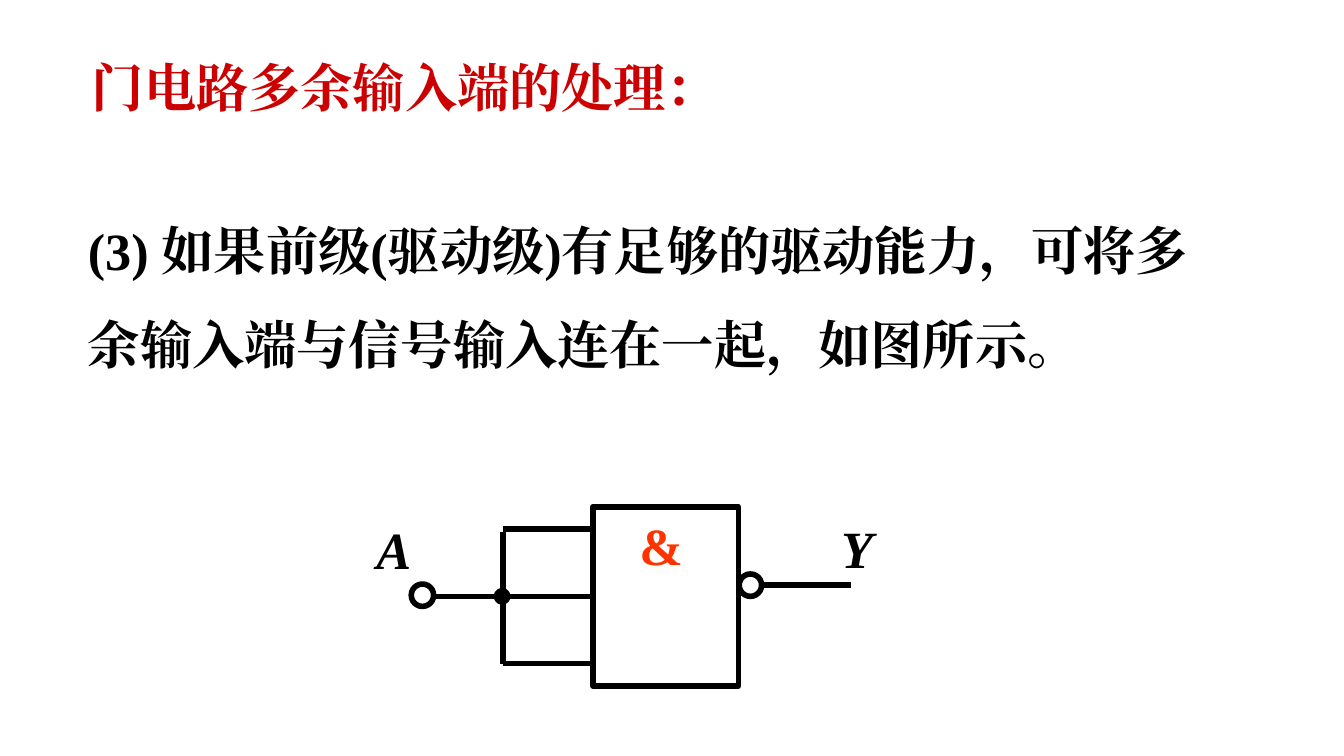
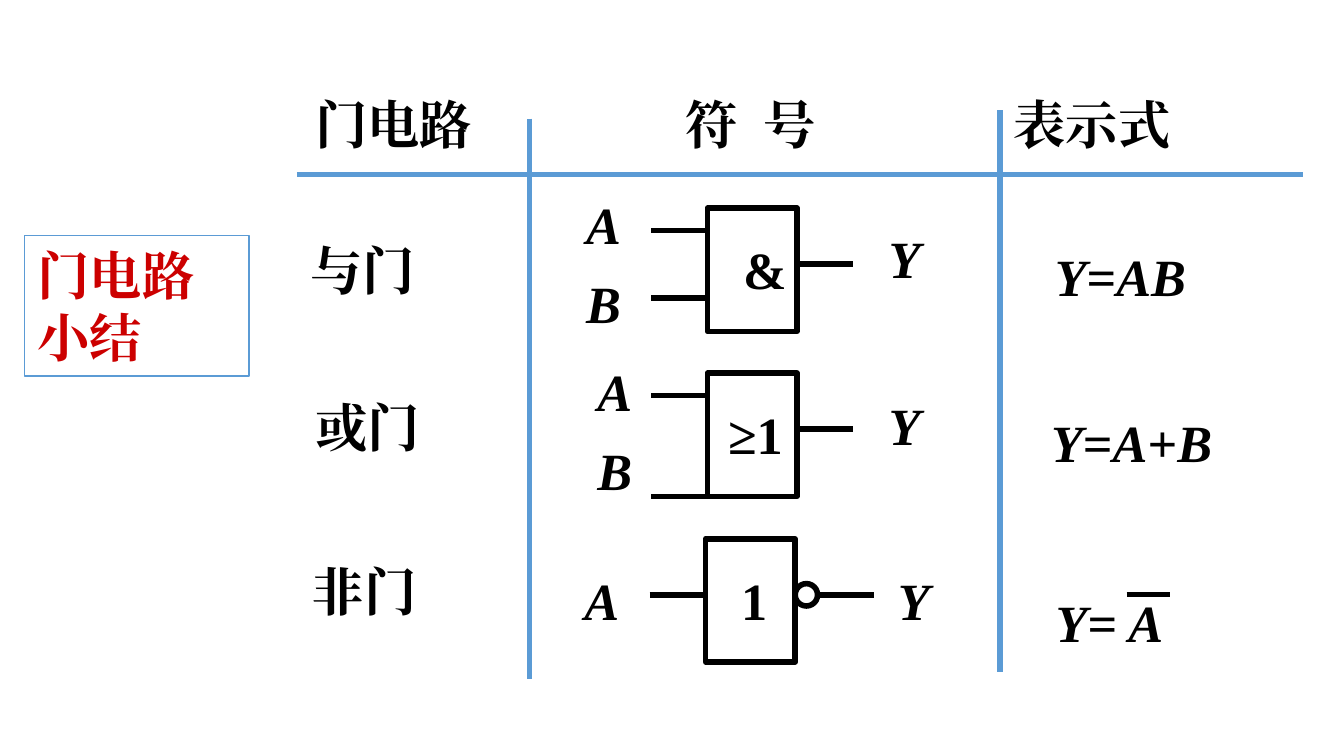
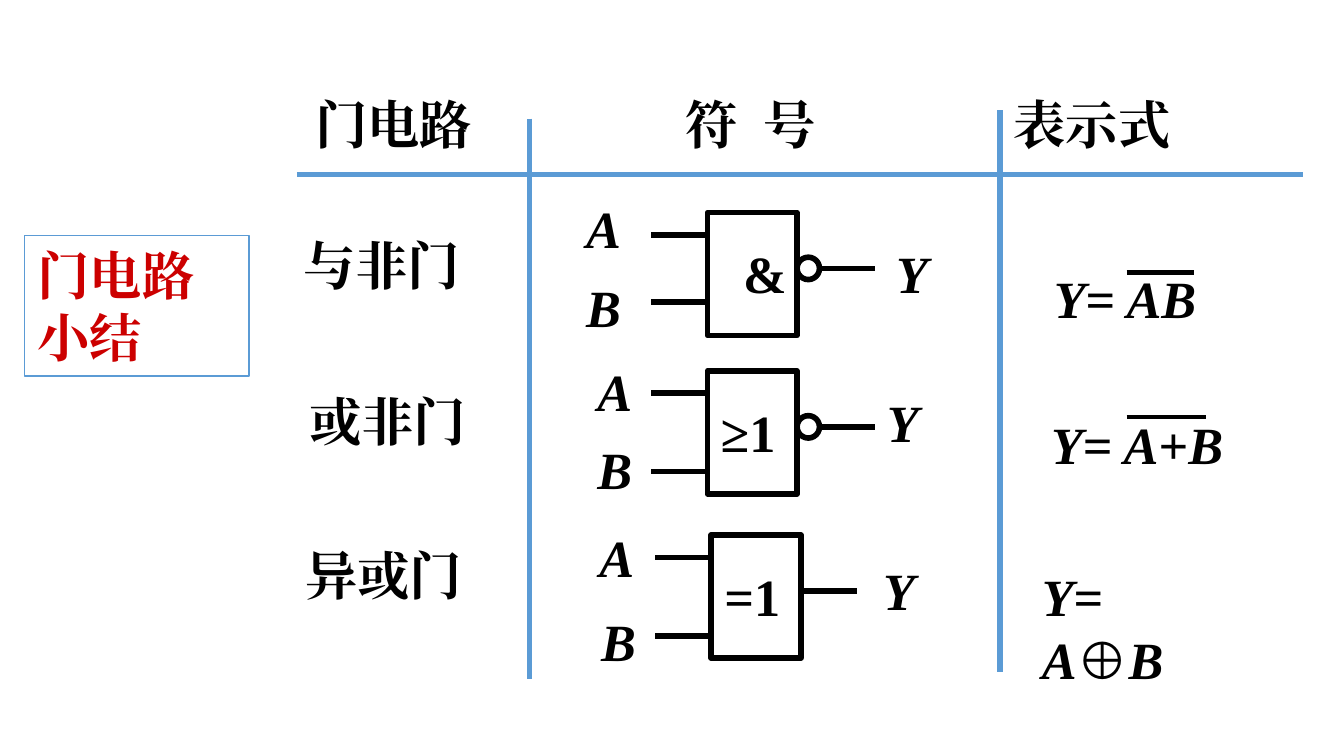
"""Builds three slides on logic gates: spare inputs and a summary of symbols."""
from dataclasses import dataclass
from itertools import groupby

from lxml import etree
from pptx import Presentation
from pptx.dml.color import RGBColor
from pptx.enum import shapes, text
from pptx.oxml import ns
from pptx.util import Pt


@dataclass(frozen=True)
class Theme:
    """Colours, font and sizes shared by the slides."""
    ink: str = "000000"
    red: str = "CC0000"
    sign: str = "FF3300"
    blue: str = "5B9BD5"
    white: str = "FFFFFF"
    font: str = "Times New Roman"
    size: float = 28
    wire: float = 3
    bar: float = 2.25
    edge: float = 0.75
    row: float = 41
    ring: float = 12
    lead: float = 30


def write(frame, words, color, theme, slant=False, math=False, space=None, tabs=(), anchor="TOP"):
    """Fill a text frame with one bold paragraph."""
    frame.word_wrap = True
    frame.auto_size = text.MSO_AUTO_SIZE.NONE
    frame.vertical_anchor = text.MSO_ANCHOR[anchor]
    para = frame.paragraphs[0]
    para.alignment = text.PP_ALIGN.LEFT
    if space:
        para.line_spacing = space
    if tabs:
        stops = etree.SubElement(para._p.get_or_add_pPr(), ns.qn("a:tabLst"))
        for pos in tabs:
            etree.SubElement(stops, ns.qn("a:tab"), pos=str(Pt(pos)), algn="l")
    parts = groupby(words, lambda c: c not in "=+⊕") if math else [(slant, words)]
    for tilt, part in parts:
        run = para.add_run()
        run.text = "".join(part)
        font = run.font
        font.name, font.size, font.bold, font.italic = theme.font, Pt(theme.size), True, tilt
        font.color.rgb = RGBColor.from_string(color)
        etree.SubElement(run._r.get_or_add_rPr(), ns.qn("a:ea"), typeface=theme.font)


class Deck:
    """Holds the theme and the current slide."""

    def __init__(self, theme):
        """Start an empty deck."""
        self.theme = theme
        self.show = Presentation()
        self.show.slide_width, self.show.slide_height = Pt(720), Pt(405)
        self.page = None

    def slide(self, name, x, y, w, h, edge=None, anchor="TOP"):
        """Add a slide and set its title."""
        self.page = self.show.slides.add_slide(self.show.slide_layouts[5])
        box = self.page.shapes.title
        box.left, box.top, box.width, box.height = map(Pt, (x, y, w, h))
        if edge:
            box.line.color.rgb = RGBColor.from_string(edge)
            box.line.width = Pt(self.theme.edge)
        write(box.text_frame, name, self.theme.red, self.theme, anchor=anchor)

    def label(self, words, x, y, w=50, h=None, color=None, **form):
        """Add a text box."""
        box = self.page.shapes.add_textbox(*map(Pt, (x, y, w, h or self.theme.row)))
        write(box.text_frame, words, color or self.theme.ink, self.theme, **form)

    def shape(self, kind, x, y, w, h, fill=None):
        """Add an outlined preset shape."""
        item = self.page.shapes.add_shape(shapes.MSO_SHAPE[kind], *map(Pt, (x, y, w, h)))
        item.shadow.inherit = False
        if fill:
            item.fill.solid()
            item.fill.fore_color.rgb = RGBColor.from_string(fill)
        else:
            item.fill.background()
        item.line.color.rgb = RGBColor.from_string(self.theme.ink)
        item.line.width = Pt(self.theme.wire)
        return item

    def ring(self, x, y, fill=None):
        """Add a small circle with its left end at x, centred on y."""
        size = self.theme.ring
        self.shape("OVAL", x, y - size / 2, size, size, fill)

    def line(self, x, y, to_x, to_y, color=None, width=None):
        """Add a straight line."""
        item = self.page.shapes.add_connector(
            shapes.MSO_CONNECTOR.STRAIGHT, *map(Pt, (x, y, to_x, to_y)))
        item.line.color.rgb = RGBColor.from_string(color or self.theme.ink)
        item.line.width = Pt(width or self.theme.wire)
        etree.SubElement(item._element.spPr, ns.qn("a:effectLst"))
        return item

    def gate(self, x, y, sign, shift, ins, out, ring=False):
        """Draw a gate; ins holds name, name offsets and wire offset."""
        look = self.theme
        wide, high, mid = 48, 66, y + 30
        self.shape("RECTANGLE", x, y, wide, high, look.white)
        for name, left, top, pin in ins:
            self.line(x - look.lead, y + pin, x, y + pin)
            self.label(name, x + left, y + top, slant=True)
        end = x + wide
        if ring:
            self.ring(end, mid, look.white)
            end += look.ring
        self.line(end, mid, end + look.lead, mid)
        self.label(sign, x + shift, y + 12, 64)
        self.label("Y", x + out[0], y + out[1], slant=True)

    def term(self, words, x, y, w, bar=None):
        """Write an expression, with an overbar if given as x, end, y."""
        self.label(words, x, y, w, math=True)
        if bar:
            left, right, top = bar
            self.line(left, top, right, top, width=self.theme.bar)

    def grid(self):
        """Add a summary slide with its title, heads and rules."""
        blue = self.theme.blue
        self.slide("门电路小结", 13, 126, 120.5, 75.5, blue, "MIDDLE")
        self.label("门电路\t符\t号\t表示式", 162, 45.5, 503,
                   tabs=(198, 240, 374), anchor="MIDDLE")
        self.line(283.7, 63.5, 283.7, 363.6, blue)
        self.line(535.7, 59, 535.7, 360, blue)
        self.line(159, 93.5, 698, 93.5, blue)


def spare(deck):
    """Draw the slide on tying spare inputs together."""
    deck.slide("门电路多余输入端的处理：", 42, 26, 577, 41)
    deck.label("(3) 如果前级(驱动级)有足够的驱动能力，可将多余输入端与信号输入连在一起，如图所示。",
               40, 96.5, 620, 109, space=1.5)
    left, node, mid, step = 317.6, 269.5, 319.5, 36
    box = deck.shape("RECTANGLE", left, 271.5, 78, 96)
    for pin in (mid - step, mid + step):
        deck.line(node, pin, left, pin)
    deck.line(233, mid, left, mid).end_connect(box, 1)
    deck.line(node, mid + step, node, mid - step + 1.5)
    deck.ring(220.3, mid - 0.6)
    deck.ring(396, 313.5)
    deck.line(408, 313.5, 455.7, 313.5)
    deck.shape("OVAL", node - 3.5, mid - 3, 6, 6, deck.theme.ink)
    deck.label("&", 335.5, 271.5, 36, color=deck.theme.sign)
    deck.label("Y", 443.5, 273, 36, slant=True)
    deck.label("A", 194.5, 273.5, 36, slant=True)


def basic(deck):
    """Draw the summary of AND, OR and NOT."""
    deck.grid()
    for name, x, y in (("与门", 159, 124), ("或门", 162, 208), ("非门", 160, 296)):
        deck.label(name, x, y, 90)
    deck.gate(379, 111.6, "&", 12, (("A", -72, -12, 12), ("B", -72, 30, 48)), (90, 6))
    deck.gate(379, 200, "≥1", 4, (("A", -66, -11, 12), ("B", -66, 31, 66)), (90, 7))
    deck.gate(378, 288.7, "1", 12, (("A", -72, 12, 30),), (96, 12), ring=True)
    deck.term("Y=AB", 558, 127.5, 125)
    deck.term("Y=A+B", 556, 216, 110)
    deck.term("Y= A", 558.5, 312.5, 80, (603.5, 627, 318.5))


def mixed(deck):
    """Draw the summary of NAND, NOR and XOR."""
    deck.grid()
    for name, x, y in (("与非门", 155.5, 121.5), ("或非门", 158.5, 205), ("异或门", 156.5, 287.5)):
        deck.label(name, x, y, 108)
    deck.gate(379, 113.8, "&", 12, (("A", -72, -12, 12), ("B", -72, 30, 48)), (94, 12), ring=True)
    deck.gate(379, 198.7, "≥1", 0, (("A", -66, -10, 12), ("B", -66, 32, 54)), (89, 7), ring=True)
    deck.gate(381, 286.6, "=1", 0, (("A", -67, -9, 12), ("B", -66, 36, 54)), (85, 9))
    deck.term("Y= AB", 557.5, 139, 102, (603.5, 639.5, 146))
    deck.term("Y= A+B", 556, 217.5, 114, (603.5, 646, 223.5))
    deck.term("Y= A⊕B", 551, 299, 112)


def main():
    """Build and save the deck."""
    deck = Deck(Theme())
    for draw in (spare, basic, mixed):
        draw(deck)
    deck.show.save("out.pptx")


if __name__ == "__main__":
    main()
